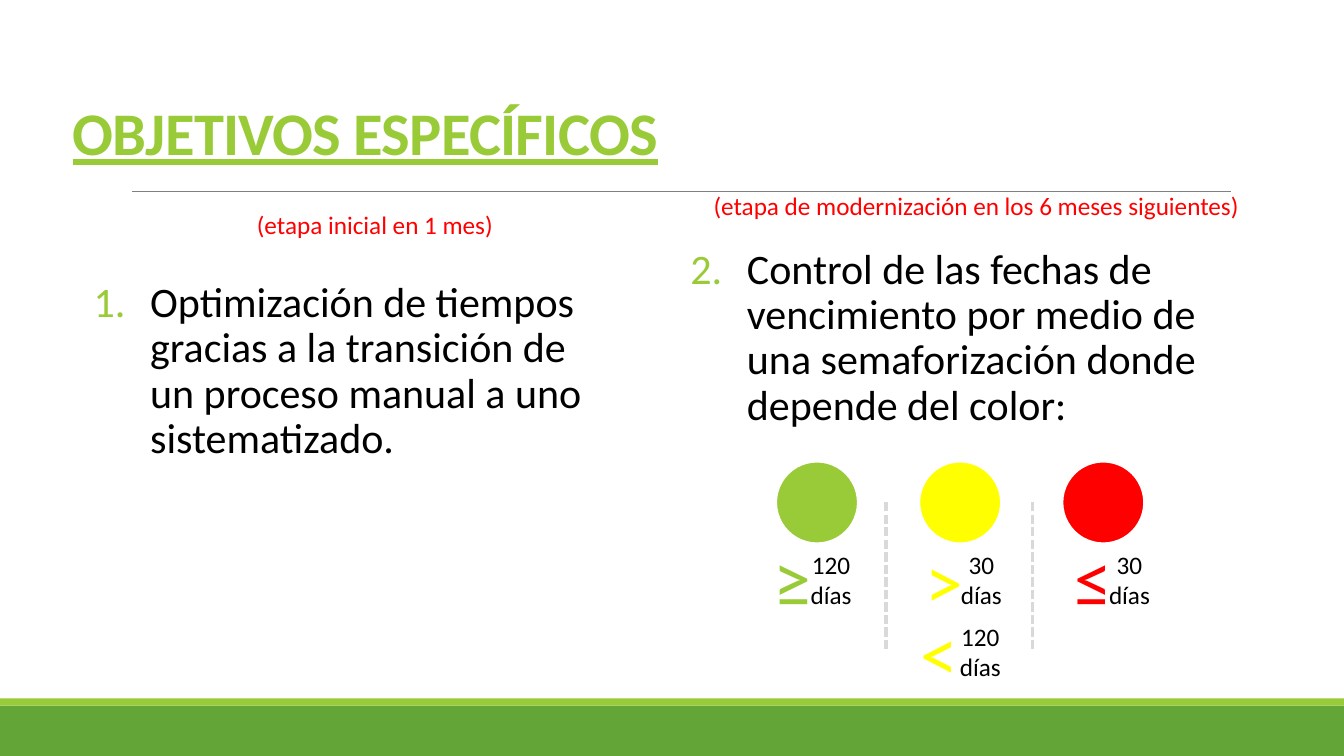
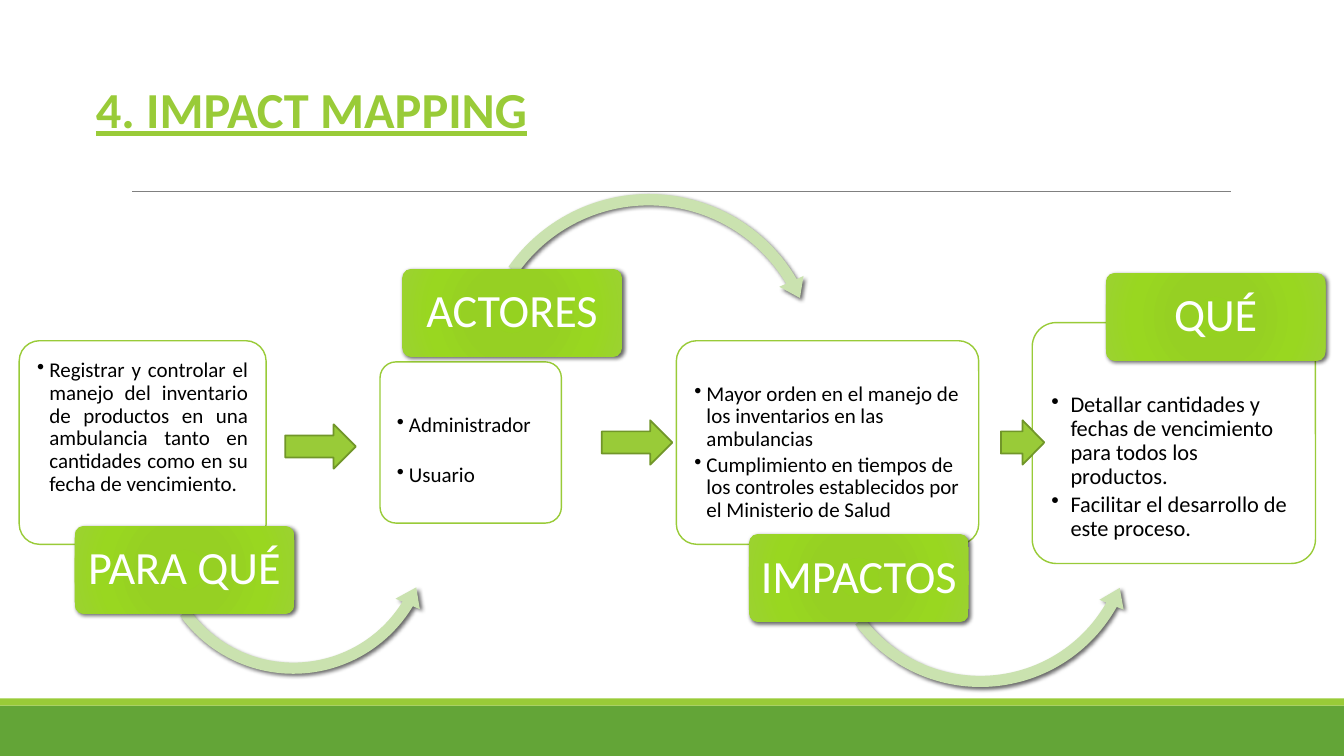
from lxml import etree
from pptx import Presentation
from pptx.dml.color import RGBColor
from pptx.enum.dml import MSO_LINE
from pptx.enum.shapes import MSO_CONNECTOR, MSO_SHAPE
from pptx.enum.text import MSO_ANCHOR, MSO_AUTO_SIZE, PP_ALIGN
from pptx.oxml.ns import qn
from pptx.util import Inches, Pt

RECT, ROUNDED, OVAL = MSO_SHAPE.RECTANGLE, MSO_SHAPE.ROUNDED_RECTANGLE, MSO_SHAPE.OVAL
ARROW = MSO_SHAPE.RIGHT_ARROW
ARC_OVER, ARC_UNDER = MSO_SHAPE.CIRCULAR_ARROW, MSO_SHAPE.LEFT_CIRCULAR_ARROW
STRAIGHT, SHORT_DASH = MSO_CONNECTOR.STRAIGHT, MSO_LINE.SQUARE_DOT
TOP, MIDDLE, BOTTOM = MSO_ANCHOR.TOP, MSO_ANCHOR.MIDDLE, MSO_ANCHOR.BOTTOM
LEFT, CENTER, JUSTIFY = PP_ALIGN.LEFT, PP_ALIGN.CENTER, PP_ALIGN.JUSTIFY
FIXED = MSO_AUTO_SIZE.NONE

# The grid has square cells of a tenth of an inch.
COLUMNS, ROWS = 133.33, 75
TWO_CONTENT, TITLE_ONLY = 3, 5

FONT = "Calibri"
GREEN, DARK_GREEN, PALE_GREEN, EDGE_GREEN = "99CB38", "63A537", "CAE2AF", "719629"
YELLOW, RED, BLACK, WHITE = "FFFF00", "FF0000", "000000", "FFFFFF"
GRAY, LIGHT_GRAY = "808080", "D9D9D9"
LABEL_STOPS = ((0, "95D220"), (34, "96D023"), (70, "99D720"), (100, "9BD231"))


def cells(count):
    return Inches(count / 10)


def color(hex_code):
    return RGBColor.from_string(hex_code)


def add_xml(parent, tag, **attributes):
    return etree.SubElement(parent, qn(tag), {k: str(v) for k, v in attributes.items()})


class Deck:
    def __init__(self):
        self.prs = Presentation()
        self.prs.slide_width, self.prs.slide_height = cells(COLUMNS), cells(ROWS)
        self.slide = None

    def new_slide(self, layout):
        """Start a slide with the shared bands and title rule."""
        self.slide = self.prs.slides.add_slide(self.prs.slide_layouts[layout])
        self.shape(RECT, (0, 70, COLUMNS, 5), DARK_GREEN)
        self.shape(RECT, (0, 69.3, COLUMNS, 0.7), GREEN)
        self.line((13.1, 19), (122.1, 19), GRAY, 0.5)

    def text(self, target, *paragraphs, size=18, ink=BLACK, bold=False, underline=False,
             spacing=0, align=LEFT, anchor=TOP, margins=(1, 0.5, 1, 0.5), wrap=True,
             leading=1.0, before=0, after=0, indent=0, bullet=None, number=None):
        """Fill a shape with paragraphs; bullet is a character, number a list start."""
        frame = target.text_frame
        frame.auto_size, frame.word_wrap, frame.vertical_anchor = FIXED, wrap, anchor
        (frame.margin_left, frame.margin_top,
         frame.margin_right, frame.margin_bottom) = map(cells, margins)
        for i, words in enumerate(paragraphs):
            para = frame.paragraphs[0] if i == 0 else frame.add_paragraph()
            para.alignment, para.line_spacing = align, leading
            para.space_before, para.space_after = Pt(before), Pt(after)
            run = para.add_run()
            run.text = words
            font = run.font
            font.name, font.size, font.bold, font.underline = FONT, Pt(size), bold, underline
            font.color.rgb = color(ink)
            if spacing:
                run.font._element.set("spc", str(int(spacing * 100)))
            if indent:
                props = para._p.get_or_add_pPr()
                props.set("marL", str(cells(indent)))
                props.set("indent", str(-cells(indent)))
                if number:
                    add_xml(add_xml(props, "a:buClr"), "a:srgbClr", val=GREEN)
                    add_xml(props, "a:buFont", typeface=FONT)
                    add_xml(props, "a:buAutoNum", type="arabicPeriod", startAt=number)
                else:
                    add_xml(props, "a:buChar", char=bullet)
        return target

    def place(self, target, box):
        target.left, target.top, target.width, target.height = map(cells, box)
        return target

    def title(self, words, box, **style):
        self.text(self.place(self.slide.shapes.title, box), words,
                  ink=GREEN, bold=True, underline=True, **style)

    def objective(self, number, words, box):
        """Fill one of the two body placeholders with a numbered objective."""
        body = self.place(self.slide.placeholders[number], box)
        self.text(body, words, size=30, leading=0.9, before=12, after=2, indent=5.6,
                  number=number, margins=(0, 0.5, 0, 0.5))

    def note(self, words, box, **style):
        self.text(self.slide.shapes.add_textbox(*map(cells, box)), words, **style)

    def shape(self, kind, box, fill=None, outline=None, width=1, adjust=(), shadow=False):
        drawn = self.slide.shapes.add_shape(kind, *map(cells, box))
        for i, value in enumerate(adjust):
            drawn.adjustments[i] = value
        if fill:
            drawn.fill.solid()
            drawn.fill.fore_color.rgb = color(fill)
        if outline:
            drawn.line.color.rgb, drawn.line.width = color(outline), Pt(width)
        else:
            drawn.line.fill.background()
        drawn.shadow.inherit = False
        if shadow:
            effects = drawn.element.spPr.find(qn("a:effectLst"))
            outer = add_xml(effects, "a:outerShdw", blurRad=Pt(3), dist=Pt(2),
                            dir=45 * 60000, algn="tl", rotWithShape=0)
            add_xml(add_xml(outer, "a:srgbClr", val=BLACK), "a:alpha", val=60000)
        return drawn

    def line(self, start, end, ink, width, dash=None):
        drawn = self.slide.shapes.add_connector(STRAIGHT, *map(cells, start + end))
        drawn.line.color.rgb, drawn.line.width = color(ink), Pt(width)
        if dash:
            drawn.line.dash_style = dash
        add_xml(drawn.element.spPr, "a:effectLst")

    def card(self, box, points, top, **style):
        outline = self.shape(ROUNDED, box, WHITE, GREEN, adjust=(0.1,))
        self.text(outline, *points, margins=(1.2, top, 1.2, 0), leading=0.9,
                  bullet="•", **style)

    def label(self, words, left, top):
        """Draw a stage name on a block with a radial gradient."""
        block = self.shape(ROUNDED, (left, top, 21.8, 8.7), adjust=(0.1,), shadow=True)
        gradient = etree.Element(qn("a:gradFill"), rotWithShape="1")
        stops = add_xml(gradient, "a:gsLst")
        for position, tone in LABEL_STOPS:
            add_xml(add_xml(stops, "a:gs", pos=position * 1000), "a:srgbClr", val=tone)
        path = add_xml(gradient, "a:path", path="circle")
        add_xml(path, "a:fillToRect", **dict.fromkeys("ltrb", 100000))
        block.element.spPr.find(qn("a:prstGeom")).addnext(gradient)
        self.text(block, words, size=33, ink=WHITE, align=CENTER, anchor=MIDDLE,
                  leading=0.9, margins=(0.7, 0.5, 0.7, 0.5))


def objectives_slide(deck):
    deck.new_slide(TWO_CONTENT)
    deck.title("OBJETIVOS ESPECÍFICOS", (6.2, 9.5, 67.5, 7.7), size=43.2,
               anchor=BOTTOM, leading=0.85, spacing=-0.5)
    deck.objective(1, "Optimización de tiempos gracias a la transición de un proceso "
                      "manual a uno sistematizado.", (9.3, 27.4, 48.8, 29.3))
    deck.objective(2, "Control de las fechas de vencimiento por medio de una "
                      "semaforización donde depende del color:", (68.5, 24.1, 57.3, 29.3))

    for i, light in enumerate((GREEN, YELLOW, RED)):
        deck.shape(OVAL, (77 + 14.2 * i, 45.8, 8.1, 8.1), light, WHITE, 1.25)
    limits = (
        ("≥", GREEN, 75.8, 52.3, "120 días", 79.2, 54),
        (">", YELLOW, 90.8, 52.5, "30 días", 94.1, 54),
        ("<", YELLOW, 90.3, 59.6, "120 días", 94, 61.1),
        ("≤", RED, 105.6, 52.3, "30 días", 108.8, 54),
    )
    for sign, ink, sign_left, sign_top, days, days_left, days_top in limits:
        deck.note(days, (days_left, days_top, 6.5, 7.1), align=CENTER)
        deck.note(sign, (sign_left, sign_top, 4.4, 10.1), size=54, ink=ink, align=CENTER)
    for divider in (87.9, 102.4):
        deck.line((divider, 49.8), (divider, 64.6), LIGHT_GRAY, 2.25, SHORT_DASH)

    deck.note("(etapa inicial en 1 mes)", (24.5, 20.3, 25.7, 4), ink=RED, wrap=False)
    deck.note("(etapa de modernización en los 6 meses siguientes)",
              (69.8, 18.4, 54.8, 4), ink=RED, wrap=False)


def impact_slide(deck):
    deck.new_slide(TITLE_ONLY)
    deck.title("4. IMPACT MAPPING", (8.5, 7.2, 45.1, 7.1), size=36)

    # Stage: name and its place, card, points, text style, arc to the next stage.
    stages = (
        ("PARA QUÉ", (7.4, 52.2), (1.9, 33.8, 24.5, 20.2),
         ("Registrar y controlar el manejo del inventario de productos en una ambulancia "
          "tanto en cantidades como en su fecha de vencimiento.",),
         dict(top=1.3, size=15, indent=1.2, align=JUSTIFY),
         (ARC_UNDER, (14.5, 38.4, 29.2, 29.2), (0.038, 4.788, 18.816, 86.517, 0.045))),
        ("ACTORES", (39.9, 26.7), (37.7, 35.9, 18, 16),
         ("Administrador", "Usuario"),
         dict(top=4.7, size=15, indent=1.2, align=JUSTIFY, after=20),
         (ARC_OVER, (46.6, 18.5, 35.5, 35.5), (0.032, 3.877, 197.72, 129.108, 0.037))),
        ("IMPACTOS", (74.3, 53), (67.1, 33.8, 30, 20.2),
         ("Mayor orden en el manejo de los inventarios en las ambulancias",
          "Cumplimiento en tiempos de los controles establecidos por el Ministerio de Salud"),
         dict(top=3.6, size=15, indent=1.2, after=2.25),
         (ARC_UNDER, (81, 36.4, 32.5, 32.5), (0.034, 4.271, 17.659, 85.878, 0.04))),
        ("QUÉ", (109.7, 27.1), (102.4, 32, 28.1, 23.9),
         ("Detallar cantidades y fechas de vencimiento para todos los productos.",
          "Facilitar el desarrollo de este proceso."),
         dict(top=6.3, size=16, indent=1.9, after=2.25), None),
    )
    for name, corner, card, points, style, arc in stages:
        deck.card(card, points, **style)
        if arc:
            kind, box, bend = arc
            deck.shape(kind, box, PALE_GREEN, adjust=bend, shadow=True)
        deck.label(name, *corner)

    for left, top, width in ((28.3, 42.1, 7), (59.7, 41.7, 7), (99.3, 41.7, 4.3)):
        deck.shape(ARROW, (left, top, width, 4.4), GREEN, EDGE_GREEN, 1.25)


def main():
    deck = Deck()
    objectives_slide(deck)
    impact_slide(deck)
    deck.prs.save("out.pptx")


if __name__ == "__main__":
    main()
